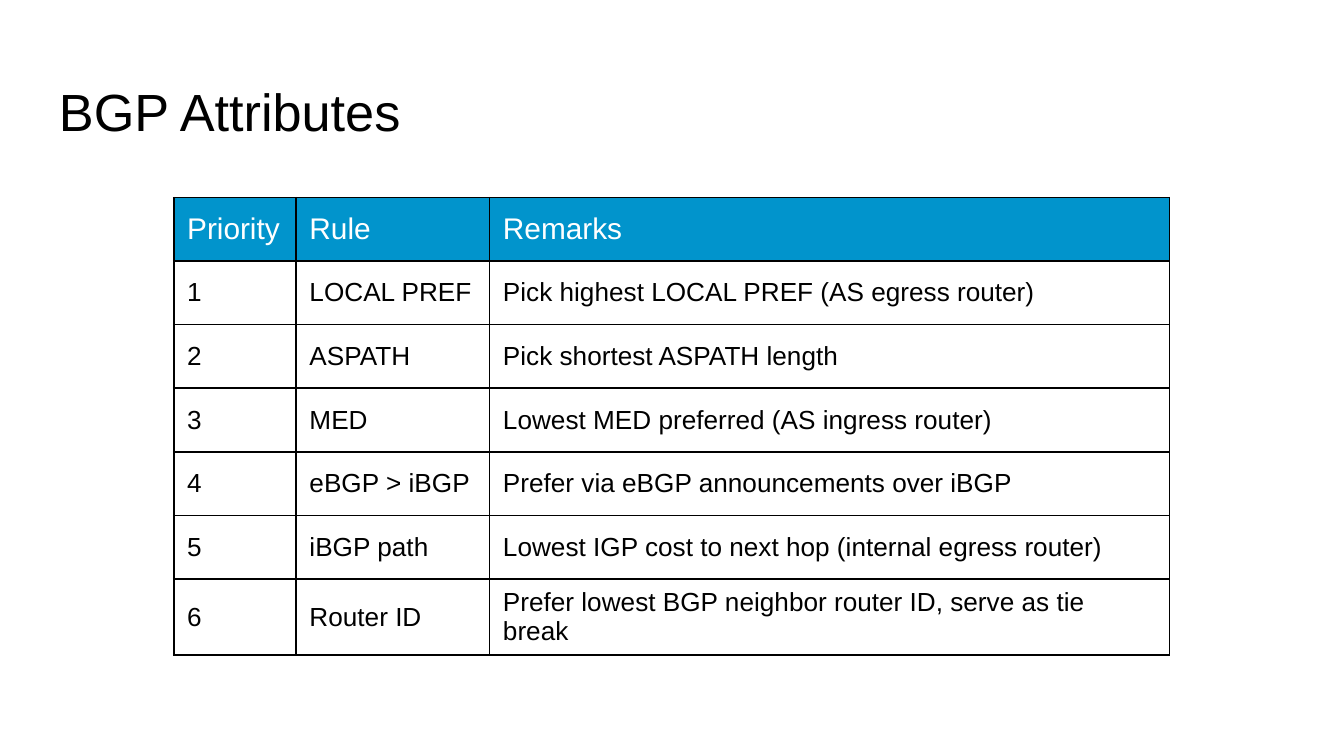
"""Build the BGP Attributes slide with its table of route selection rules."""
from lxml.etree import SubElement
from pptx import Presentation
from pptx.dml.color import RGBColor
from pptx.enum.text import MSO_ANCHOR
from pptx.oxml.ns import qn
from pptx.util import Inches, Pt

COLORS = {"ink": "000000", "head": "0194CC", "white": "FFFFFF"}
ROWS = [
    ("Priority", "Rule", "Remarks"),
    ("1", "LOCAL PREF", "Pick highest LOCAL PREF (AS egress router)"),
    ("2", "ASPATH", "Pick shortest ASPATH length"),
    ("3", "MED", "Lowest MED preferred (AS ingress router)"),
    ("4", "eBGP > iBGP", "Prefer via eBGP announcements over iBGP"),
    ("5", "iBGP path", "Lowest IGP cost to next hop (internal egress router)"),
    ("6", "Router ID", "Prefer lowest BGP neighbor router ID, serve as tie break"),
]
COLS = [9.1, 14.4, 50.6]


def write(frame, text, size=14, color="ink"):
    run = frame.paragraphs[0].add_run()
    run.text = text
    run.font.name = "Arial"
    run.font.size = Pt(size)
    run.font.bold = False
    run.font.color.rgb = RGBColor.from_string(COLORS[color])


def border(cell, color="ink", width=1):
    props = cell._tc.get_or_add_tcPr()
    for side in ("lnL", "lnR", "lnT", "lnB"):
        line = SubElement(props, qn(f"a:{side}"), w=str(Pt(width)))
        fill = SubElement(line, qn("a:solidFill"))
        SubElement(fill, qn("a:srgbClr"), val=COLORS[color])


deck = Presentation()
deck.slide_width = Inches(10)
deck.slide_height = deck.slide_width * 9 // 16
unit = deck.slide_width // 100
slide = deck.slides.add_slide(deck.slide_layouts[6])

title = slide.shapes.add_textbox(*(int(n * unit) for n in (3.41, 4.87, 93.18, 6.26)))
frame = title.text_frame
frame.word_wrap = True
frame.margin_left = frame.margin_right = unit
frame.margin_top = frame.margin_bottom = unit
write(frame, "BGP Attributes", size=28)

area = (int(n * unit) for n in (12.93, 14.7, sum(COLS), 33.1))
table = slide.shapes.add_table(len(ROWS), len(COLS), *area).table
table.horz_banding = False
for col, width in zip(table.columns, COLS):
    col.width = int(width * unit)
for r, texts in enumerate(ROWS):
    for c, text in enumerate(texts):
        cell = table.cell(r, c)
        cell.vertical_anchor = MSO_ANCHOR.MIDDLE
        border(cell)
        if r == 0:
            cell.fill.solid()
            cell.fill.fore_color.rgb = RGBColor.from_string(COLORS["head"])
            write(cell.text_frame, text, size=16, color="white")
        else:
            cell.fill.background()
            write(cell.text_frame, text)

deck.save("out.pptx")
